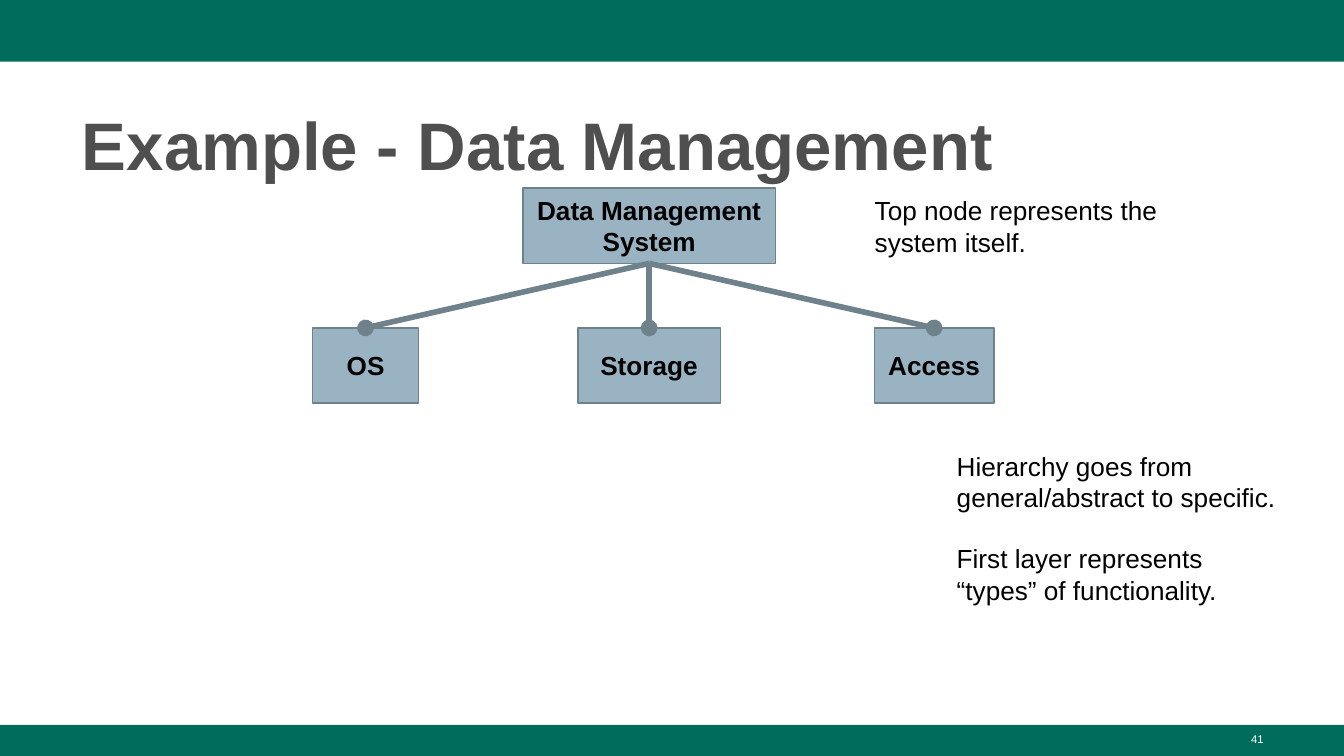
from pptx import Presentation
from pptx.dml.color import RGBColor
from pptx.enum.shapes import MSO_CONNECTOR, MSO_SHAPE
from pptx.enum.text import MSO_ANCHOR, MSO_AUTO_SIZE, PP_ALIGN
from pptx.oxml.ns import qn
from pptx.util import Inches, Pt
from lxml import etree

RECTANGLE = MSO_SHAPE.RECTANGLE
STRAIGHT = MSO_CONNECTOR.STRAIGHT
TOP, MIDDLE, BOTTOM = MSO_ANCHOR.TOP, MSO_ANCHOR.MIDDLE, MSO_ANCHOR.BOTTOM
LEFT, CENTER, RIGHT = PP_ALIGN.LEFT, PP_ALIGN.CENTER, PP_ALIGN.RIGHT
FIXED_SIZE = MSO_AUTO_SIZE.NONE
TOP_SIDE, BOTTOM_SIDE = 0, 2
PAGE_WIDTH = 10
PAGE_HEIGHT = PAGE_WIDTH * 9 / 16


def color(hex_string):
    return RGBColor.from_string(hex_string)


def write(shape, *paragraphs, size=14, bold=False, ink="000000", align=LEFT,
          anchor=TOP, inset=0.1, bottom_inset=None, gap=0, line_spacing=None):
    frame = shape.text_frame
    frame.word_wrap = True
    frame.auto_size = FIXED_SIZE
    frame.vertical_anchor = anchor
    frame.margin_left = frame.margin_right = Inches(0.1)
    frame.margin_top = Inches(inset)
    frame.margin_bottom = Inches(inset if bottom_inset is None else bottom_inset)
    for index, text in enumerate(paragraphs):
        paragraph = frame.add_paragraph() if index else frame.paragraphs[0]
        paragraph.alignment = align
        paragraph.space_before = Pt(gap if index else 0)
        if line_spacing:
            paragraph.line_spacing = line_spacing
        run = paragraph.add_run()
        run.text = text
        run.font.name = "Arial"
        run.font.size = Pt(size)
        run.font.bold = bold
        run.font.color.rgb = color(ink)


class HierarchySlide:
    band_fill = "006C5C"
    node_fill = "99B3C2"
    edge = "6F828C"
    title_ink = "4F4F4F"

    def __init__(self, slide):
        self.slide = slide

    def title(self, text, left, top, width, height):
        title = self.slide.shapes.title
        title.left, title.top = Inches(left), Inches(top)
        title.width, title.height = Inches(width), Inches(height)
        write(title, text, size=36, bold=True, ink=self.title_ink, anchor=BOTTOM,
              inset=0.05, bottom_inset=0.03, line_spacing=1.08)

    def rectangle(self, left, top, width, height, fill):
        rectangle = self.slide.shapes.add_shape(
            RECTANGLE, Inches(left), Inches(top), Inches(width), Inches(height))
        rectangle.shadow.inherit = False
        rectangle.fill.solid()
        rectangle.fill.fore_color.rgb = color(fill)
        rectangle.line.fill.background()
        return rectangle

    def band(self, top, height):
        self.rectangle(0, top, PAGE_WIDTH, height, self.band_fill)

    def node(self, text, center, top, width):
        node = self.rectangle(center - width / 2, top, width, 0.56, self.node_fill)
        node.line.color.rgb = color(self.edge)
        node.line.width = Pt(0.75)
        write(node, text, bold=True, align=CENTER, anchor=MIDDLE)
        return node

    def branch(self, parent, child):
        branch = self.slide.shapes.add_connector(STRAIGHT, 0, 0, 0, 0)
        branch.begin_connect(parent, BOTTOM_SIDE)
        branch.end_connect(child, TOP_SIDE)
        branch.line.color.rgb = color(self.edge)
        branch.line.width = Pt(3)
        # Round end at the child, no shadow
        outline = branch._element.spPr.find(qn("a:ln"))
        etree.SubElement(outline, qn("a:tailEnd"), type="oval")
        etree.SubElement(branch._element.spPr, qn("a:effectLst"))

    def note(self, *paragraphs, left, top, width, height, **style):
        note = self.slide.shapes.add_textbox(
            Inches(left), Inches(top), Inches(width), Inches(height))
        write(note, *paragraphs, **style)


def main():
    deck = Presentation()
    deck.slide_width, deck.slide_height = Inches(PAGE_WIDTH), Inches(PAGE_HEIGHT)
    page = HierarchySlide(deck.slides.add_slide(deck.slide_layouts[5]))

    # Bands, page number and title
    page.band(0, 0.46)
    page.band(PAGE_HEIGHT - 0.23, 0.23)
    page.note("41", left=7.17, top=5.4, width=2.33, height=0.23,
              size=6, ink="FFFFFF", align=RIGHT, inset=0.05)
    page.title("Example - Data Management", 0.51, 0.67, 8.99, 0.73)

    # Hierarchy: the system and its types of functionality
    system = page.node("Data Management System", 4.83, 1.4, 1.88)
    functions = [page.node(name, center, 2.44, width) for name, center, width in (
        ("OS", 2.72, 0.79), ("Storage", 4.83, 1.06), ("Access", 6.95, 0.89))]
    for function in functions:
        page.branch(system, function)

    # Explanations
    page.note("Top node represents the system itself.",
              left=6.41, top=1.35, width=2.62, height=0.67)
    page.note("Hierarchy goes from general/abstract to specific.",
              "First layer represents “types” of functionality.",
              left=7.02, top=3.25, width=2.62, height=1.38, gap=16)

    deck.save("out.pptx")


if __name__ == "__main__":
    main()
